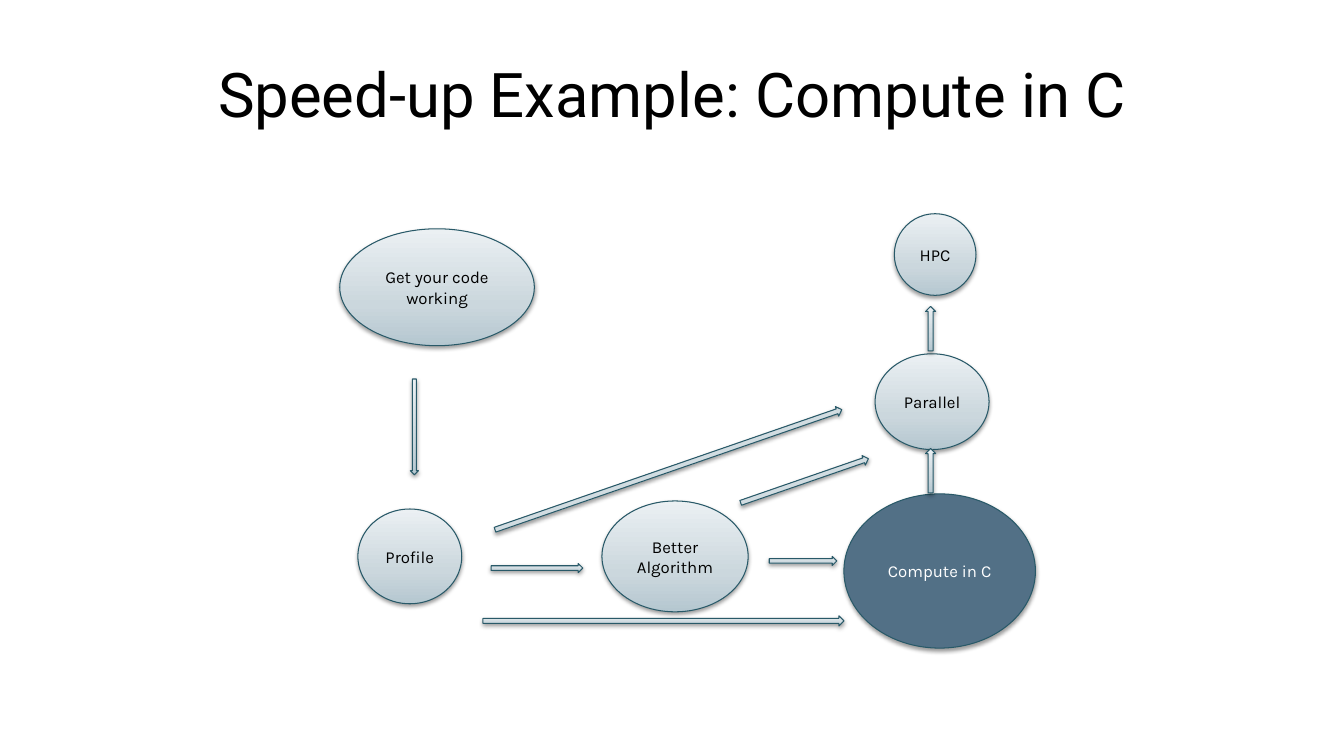
from copy import deepcopy

from lxml import etree
from pptx import Presentation
from pptx import util as u
from pptx.dml.color import RGBColor
from pptx.enum import shapes, text
from pptx.oxml import ns

COLORS = {
    "text": "000000", "light_text": "FFFFFF", "outline": "285968",
    "highlight": "527086", "shadow": "000000",
}
GRADIENT = [(0, "B5C7D0"), (0.35, "CBD7DD"), (1, "EBF0F3")]
SHAPE = shapes.MSO_SHAPE
SLOPE = 340.9

# Left and top are measured from the corner of the diagram, in inches.
STEPS = [
    (["Get your code", "working"], (0, 0.15, 1.93, 1.16)),
    (["Compute in C"], (5, 2.78, 1.9, 1.53)),
    (["Parallel"], (5.31, 1.39, 1.13, 0.95)),
    (["HPC"], (5.5, 0, 0.81, 0.81)),
    (["Better", "Algorithm"], (2.6, 2.85, 1.45, 1.1)),
    (["Profile"], (0.18, 2.93, 1.03, 0.94)),
]
CURRENT_STEP = ["Compute in C"]
ARROWS = [
    (SHAPE.RIGHT_ARROW, (1.5, 3.47, 0.91, 0.09), 0),
    (SHAPE.RIGHT_ARROW, (4.26, 3.4, 0.67, 0.09), 0),
    (SHAPE.DOWN_ARROW, (0.7, 1.64, 0.08, 0.95), 0),
    (SHAPE.UP_ARROW, (5.81, 2.33, 0.1, 0.44), 0),
    (SHAPE.UP_ARROW, (5.81, 0.92, 0.1, 0.44), 0),
    (SHAPE.RIGHT_ARROW, (1.42, 3.99, 3.58, 0.1), 0),
    (SHAPE.RIGHT_ARROW, (1.44, 2.49, 3.64, 0.1), SLOPE),
    (SHAPE.RIGHT_ARROW, (3.94, 2.6, 1.34, 0.1), SLOPE),
]


def color(name):
    return RGBColor.from_string(COLORS[name])


def fill_gradient(shape):
    shape.fill.gradient()
    shape.fill.gradient_angle = 90
    stop_list = shape.element.spPr.find(".//" + ns.qn("a:gsLst"))
    stop_list.append(deepcopy(stop_list[0]))
    for stop, (position, value) in zip(shape.fill.gradient_stops, GRADIENT):
        stop.position = position
        stop.color.rgb = RGBColor.from_string(value)


def add_shadow(shape):
    shape.shadow.inherit = False
    effects = shape.element.spPr.find(ns.qn("a:effectLst"))
    shadow = etree.SubElement(
        effects, ns.qn("a:outerShdw"), blurRad=str(u.Pt(3.1)),
        dist=str(u.Pt(1.6)), dir="5400000", rotWithShape="0")
    tint = etree.SubElement(shadow, ns.qn("a:srgbClr"), val=COLORS["shadow"])
    etree.SubElement(tint, ns.qn("a:alpha"), val="38000")


def add_diagram_shape(slide, kind, origin, box):
    """Add a gradient shape whose box is relative to the diagram's origin."""
    left, top, width, height = box
    shape = slide.shapes.add_shape(
        kind, u.Inches(origin[0] + left), u.Inches(origin[1] + top),
        u.Inches(width), u.Inches(height))
    fill_gradient(shape)
    shape.line.color.rgb = color("outline")
    shape.line.width = u.Pt(0.75)
    add_shadow(shape)
    return shape


def add_centred_run(paragraph, words, font_name, size, color_name):
    paragraph.alignment = text.PP_ALIGN.CENTER
    run = paragraph.add_run()
    run.text = words
    run.font.name = font_name
    run.font.size = u.Pt(size)
    run.font.color.rgb = color(color_name)


def add_step(slide, origin, lines, box):
    oval = add_diagram_shape(slide, SHAPE.OVAL, origin, box)
    color_name = "text"
    if lines == CURRENT_STEP:
        oval.fill.solid()
        oval.fill.fore_color.rgb = color("highlight")
        color_name = "light_text"
    frame = oval.text_frame
    frame.word_wrap = False
    frame.vertical_anchor = text.MSO_ANCHOR.MIDDLE
    for index, line in enumerate(lines):
        paragraph = frame.add_paragraph() if index else frame.paragraphs[0]
        add_centred_run(paragraph, line, "Karla", 12, color_name)


def add_diagram(slide, left, top):
    origin = (left, top)
    for lines, box in STEPS:
        add_step(slide, origin, lines, box)
    for kind, box, rotation in ARROWS:
        arrow = add_diagram_shape(slide, kind, origin, box)
        arrow.rotation = rotation


def add_title(slide, left, top, width, height):
    title = slide.shapes.title
    title.left, title.top = u.Inches(left), u.Inches(top)
    title.width, title.height = u.Inches(width), u.Inches(height)
    title.text_frame.vertical_anchor = text.MSO_ANCHOR.MIDDLE
    add_centred_run(title.text_frame.paragraphs[0],
                    "Speed-up Example: Compute in C", "Roboto", 44, "text")


def main():
    presentation = Presentation()
    presentation.slide_width = u.Inches(13.33)
    presentation.slide_height = u.Inches(7.5)
    slide = presentation.slides.add_slide(presentation.slide_layouts[5])
    add_title(slide, 0.67, 0.3, 12, 1.25)
    add_diagram(slide, 3.37, 2.12)
    presentation.save("out.pptx")


if __name__ == "__main__":
    main()
